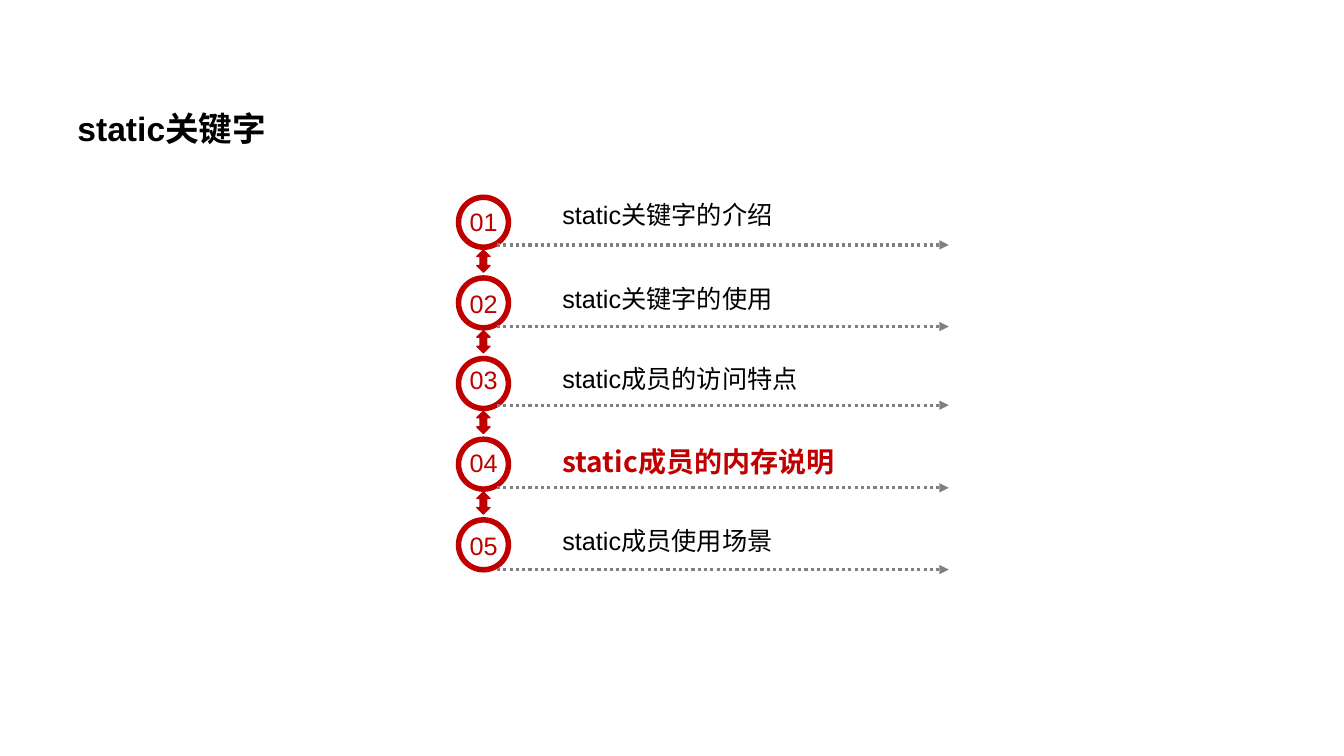
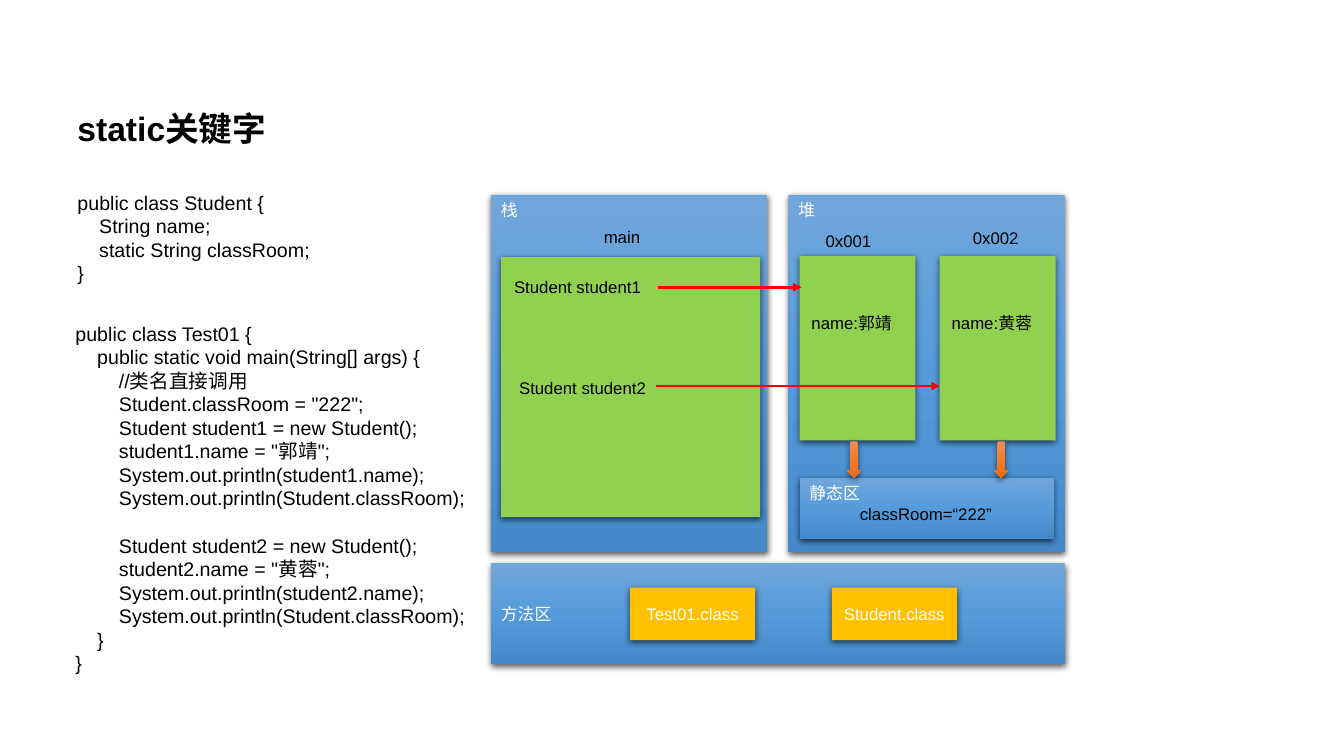
import lxml.etree
import copy
import pptx
import pptx.dml.color
import pptx.enum.dml
import pptx.enum.shapes
import pptx.enum.text
import pptx.oxml.ns
import pptx.util

Inches = pptx.util.Inches
Pt = pptx.util.Pt
RGBColor = pptx.dml.color.RGBColor
SHAPE = pptx.enum.shapes.MSO_SHAPE
ANCHOR = pptx.enum.text.MSO_ANCHOR
ALIGN = pptx.enum.text.PP_ALIGN
qn = pptx.oxml.ns.qn

BLACK = RGBColor(0x00, 0x00, 0x00)
WHITE = RGBColor(0xFF, 0xFF, 0xFF)
CRIMSON = RGBColor(0xC0, 0x00, 0x00)
RED = RGBColor(0xFF, 0x00, 0x00)
GRAY = RGBColor(0x80, 0x80, 0x80)
GREEN = RGBColor(0x92, 0xD0, 0x50)
GOLD = RGBColor(0xFF, 0xC0, 0x00)
BLUES = (RGBColor(0x71, 0xA6, 0xDB), RGBColor(0x55, 0x9B, 0xDB), RGBColor(0x44, 0x8A, 0xCA))
ORANGES = (RGBColor(0xF1, 0x8C, 0x57), RGBColor(0xF6, 0x7B, 0x28), RGBColor(0xE5, 0x6C, 0x19))

LATIN_FONT = "Arial"
CHINESE_FONT = "Noto Sans CJK SC"
TITLE = "static关键字"
CODE_INDENT = 0.216

AGENDA_PITCH = 0.8
AGENDA = [
    ("static关键字的介绍", 2.0, 1.93, 2.43),
    ("static关键字的使用", 2.81, 2.76, 3.24),
    ("static成员的访问特点", 3.57, 3.56, 4.02),
    ("static成员的内存说明", 4.39, 4.36, 4.84),
    ("static成员使用场景", 5.21, 5.16, 5.65),
]
CURRENT_TOPIC = 4

STUDENT_CODE = [[
    (0, "public class Student {"),
    (1, "String name;"),
    (1, "static String classRoom;"),
    (0, "}"),
]]
TEST_CODE = [
    [
        (0, "public class Test01 {"),
        (1, "public static void main(String[] args) {"),
        (2, "//类名直接调用"),
        (2, 'Student.classRoom = "222";'),
        (2, "Student student1 = new Student();"),
        (2, 'student1.name = "郭靖";'),
        (2, "System.out.println(student1.name);"),
        (2, "System.out.println(Student.classRoom);"),
    ],
    [
        (2, "Student student2 = new Student();"),
        (2, 'student2.name = "黄蓉";'),
        (2, "System.out.println(student2.name);"),
        (2, "System.out.println(Student.classRoom);"),
        (1, "}"),
        (0, "}"),
    ],
]


def style_paragraph(para, size, color, bold=False, font=LATIN_FONT):
    para.font.size = Pt(size)
    para.font.bold = bold
    para.font.color.rgb = color
    para.font.name = font
    defaults = para._p.get_or_add_pPr().find(qn("a:defRPr"))
    lxml.etree.SubElement(defaults, qn("a:ea"), typeface=CHINESE_FONT)


def add_text(page, text, left, top, width, height, size=12, color=BLACK,
             bold=False, font=LATIN_FONT, wrap=True):
    box = page.shapes.add_textbox(Inches(left), Inches(top), Inches(width), Inches(height))
    box.text_frame.word_wrap = wrap
    para = box.text_frame.paragraphs[0]
    para.text = text
    style_paragraph(para, size, color, bold, font)
    return box


def add_code(page, blocks, left, top, width, height):
    box = page.shapes.add_textbox(Inches(left), Inches(top), Inches(width), Inches(height))
    frame = box.text_frame
    frame.word_wrap = True
    para = frame.paragraphs[0]
    for block_index, block in enumerate(blocks):
        for line_index, (level, text) in enumerate(block):
            if block_index or line_index:
                para = frame.add_paragraph()
            para.text = text
            para._p.get_or_add_pPr().set("marL", str(Inches(level * CODE_INDENT)))
            if block_index and line_index == 0:
                para.space_before = Pt(17)
            style_paragraph(para, 14, BLACK)


def add_shape(page, kind, left, top, width, height, fill):
    shape = page.shapes.add_shape(kind, Inches(left), Inches(top), Inches(width), Inches(height))
    shape.shadow.inherit = False
    shape.line.fill.background()
    if isinstance(fill, RGBColor):
        shape.fill.solid()
        shape.fill.fore_color.rgb = fill
    else:
        set_gradient(shape, fill)
    return shape


def set_gradient(shape, colors):
    shape.fill.gradient()
    shape.fill.gradient_angle = 270
    stop_list = shape.element.spPr.find(".//" + qn("a:gsLst"))
    stop_list.append(copy.deepcopy(stop_list[-1]))
    for index, (stop, color) in enumerate(zip(shape.fill.gradient_stops, colors)):
        stop.position = index / 2
        stop.color.rgb = color


def add_shadow(shape):
    effects = shape.element.spPr.find(qn("a:effectLst"))
    shadow = lxml.etree.SubElement(
        effects, qn("a:outerShdw"), blurRad=str(Pt(4.5)), dist=str(Pt(1.5)),
        dir="5400000", algn="ctr", rotWithShape="0")
    color = lxml.etree.SubElement(shadow, qn("a:srgbClr"), val=str(BLACK))
    lxml.etree.SubElement(color, qn("a:alpha"), val="63000")


def add_block(page, left, top, width, height, fill, text="",
              anchor=ANCHOR.TOP, align=ALIGN.LEFT, kind=SHAPE.RECTANGLE):
    block = add_shape(page, kind, left, top, width, height, fill)
    add_shadow(block)
    if text:
        block.text_frame.vertical_anchor = anchor
        para = block.text_frame.paragraphs[0]
        para.text = text
        para.alignment = align
        style_paragraph(para, 12, WHITE)


def add_arrow(page, start, end, top, color, width, dash=None):
    arrow = page.shapes.add_connector(
        pptx.enum.shapes.MSO_CONNECTOR.STRAIGHT,
        Inches(start), Inches(top), Inches(end), Inches(top))
    arrow.line.color.rgb = color
    arrow.line.width = Pt(width)
    if dash:
        arrow.line.dash_style = dash
    properties = arrow.element.spPr
    lxml.etree.SubElement(properties.find(qn("a:ln")), qn("a:tailEnd"), type="triangle")
    lxml.etree.SubElement(properties, qn("a:effectLst"))


def add_page(deck):
    page = deck.slides.add_slide(deck.slide_layouts[6])
    title = add_text(page, TITLE, 0.67, 0.82, 11.74, 0.63, size=24, bold=True)
    title.text_frame.paragraphs[0].line_spacing = 1.5
    return page


def build_agenda(deck):
    page = add_page(deck)
    for number, (topic, number_top, topic_top, rule_top) in enumerate(AGENDA, 1):
        offset = (number - 1) * AGENDA_PITCH
        ring = add_shape(page, SHAPE.DONUT, 4.52, 1.93 + offset, 0.55, 0.55, CRIMSON)
        ring.adjustments[0] = 0.1
        add_text(page, f"{number:02}", 4.56, number_top, 0.48, 0.4, 18, CRIMSON, wrap=False)
        add_arrow(page, 4.93, 9.41, rule_top, GRAY, 2.25, pptx.enum.dml.MSO_LINE.ROUND_DOT)
        if number == CURRENT_TOPIC:
            add_text(page, topic, 5.48, topic_top, 3.96, 0.44, 20, CRIMSON, True, CHINESE_FONT)
        else:
            add_text(page, topic, 5.48, topic_top, 3.96, 0.4, 18)
        if number < len(AGENDA):
            link = add_shape(page, SHAPE.UP_DOWN_ARROW, 4.73, 2.48 + offset, 0.13, 0.22, CRIMSON)
            link.line.color.rgb = CRIMSON
            link.line.width = Pt(1)


def build_memory(deck):
    page = add_page(deck)
    add_code(page, STUDENT_CODE, 0.67, 1.84, 3.47, 1.04)
    add_code(page, TEST_CODE, 0.65, 3.14, 5, 3.64)

    add_block(page, 4.87, 5.59, 5.69, 1, BLUES, "方法区", ANCHOR.MIDDLE)
    for left, name in ((6.25, "Test01.class"), (8.25, "Student.class")):
        add_block(page, left, 5.83, 1.24, 0.52, GOLD, name, ANCHOR.MIDDLE, ALIGN.CENTER)

    for left, name in ((4.87, "栈"), (7.82, "堆")):
        add_block(page, left, 1.93, 2.74, 3.55, BLUES, name)
    add_block(page, 7.93, 4.74, 2.52, 0.61, BLUES, "静态区")
    add_text(page, "classRoom=“222”", 8.43, 4.95, 1.52, 0.3, wrap=False)

    add_text(page, "main", 5.89, 2.2, 1.44, 0.3)
    add_block(page, 4.97, 2.55, 2.57, 2.58, GREEN)
    for left, address, address_left, address_top, name in (
            (7.93, "0x001", 8.09, 2.24, "郭靖"), (9.32, "0x002", 9.55, 2.21, "黄蓉")):
        add_block(page, left, 2.54, 1.15, 1.83, GREEN)
        add_text(page, address, address_left, address_top, 1.08, 0.3)
        add_text(page, f"name:{name}", left + 0.02, 3.05, 1.13, 0.3)

    for variable, left, top, start, end, arrow_top in (
            ("student1", 5, 2.7, 6.53, 7.95, 2.85), ("student2", 5.05, 3.7, 6.51, 9.32, 3.83)):
        add_text(page, f"Student {variable}", left, top, 1.92, 0.3)
        add_arrow(page, start, end, arrow_top, RED, 1.75)
    for left in (8.4, 9.86):
        add_block(page, left, 4.38, 0.14, 0.36, ORANGES, kind=SHAPE.DOWN_ARROW)


def main():
    deck = pptx.Presentation()
    deck.slide_width = Inches(13.33)
    deck.slide_height = Inches(7.5)
    build_agenda(deck)
    build_memory(deck)
    deck.save("out.pptx")


if __name__ == "__main__":
    main()
